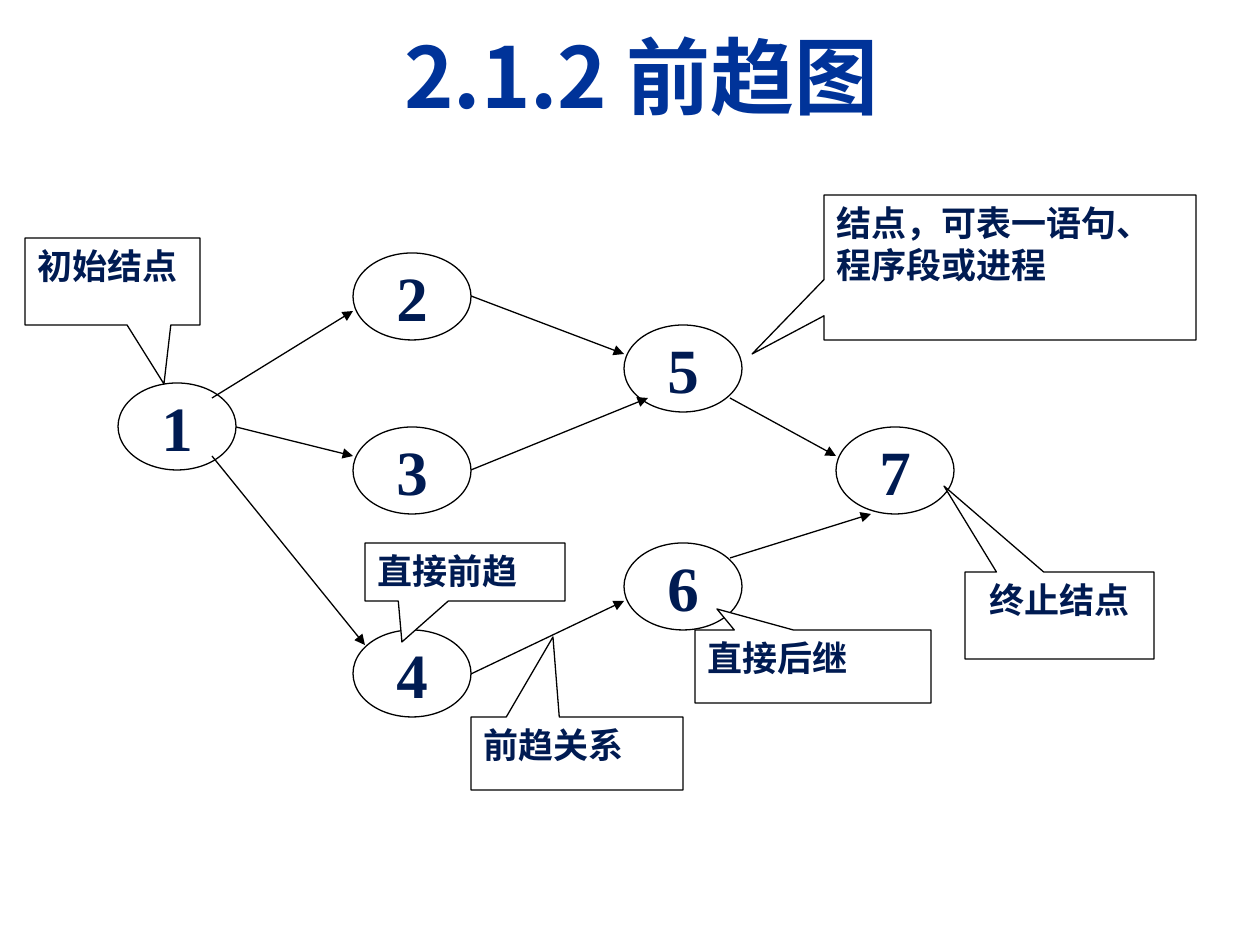
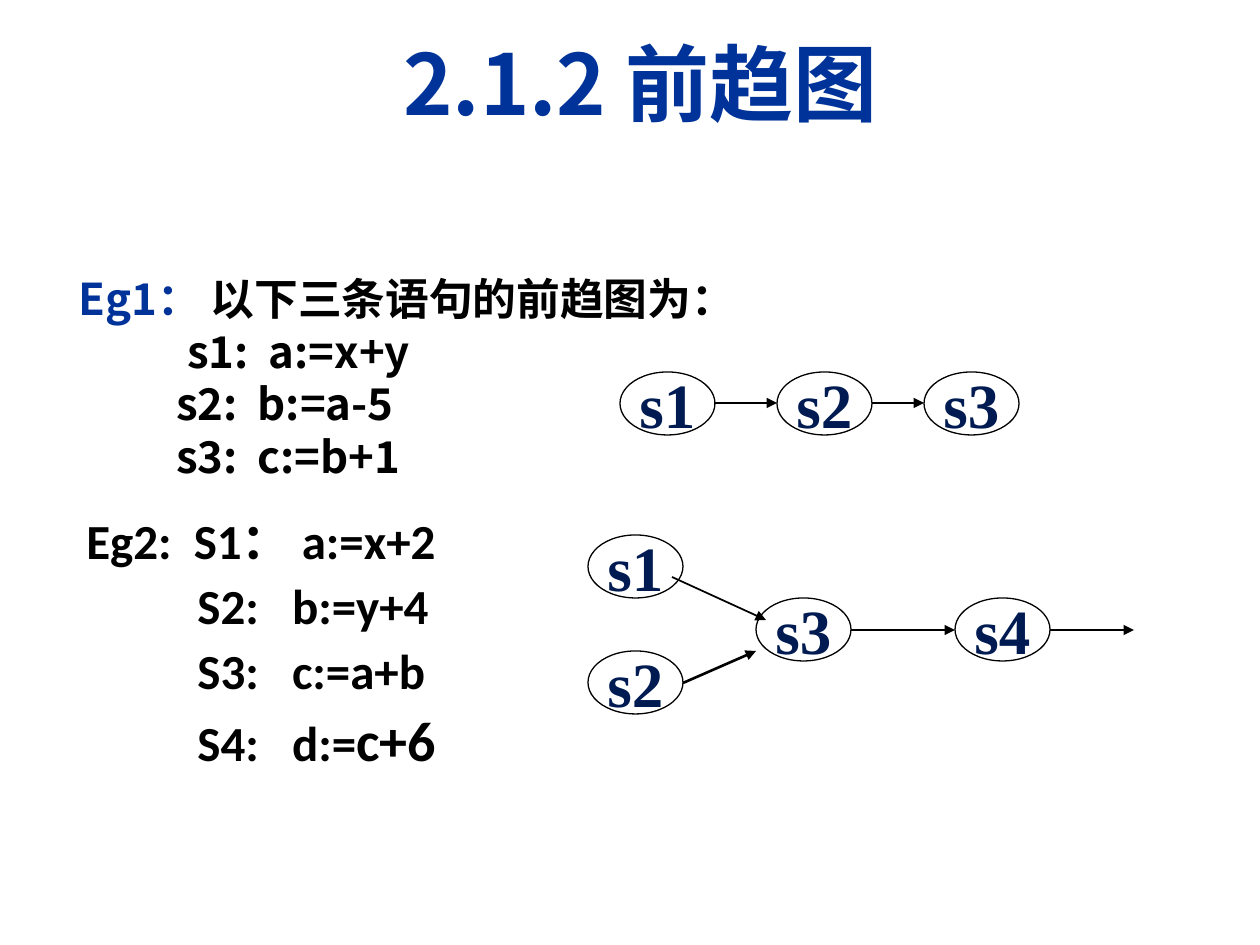
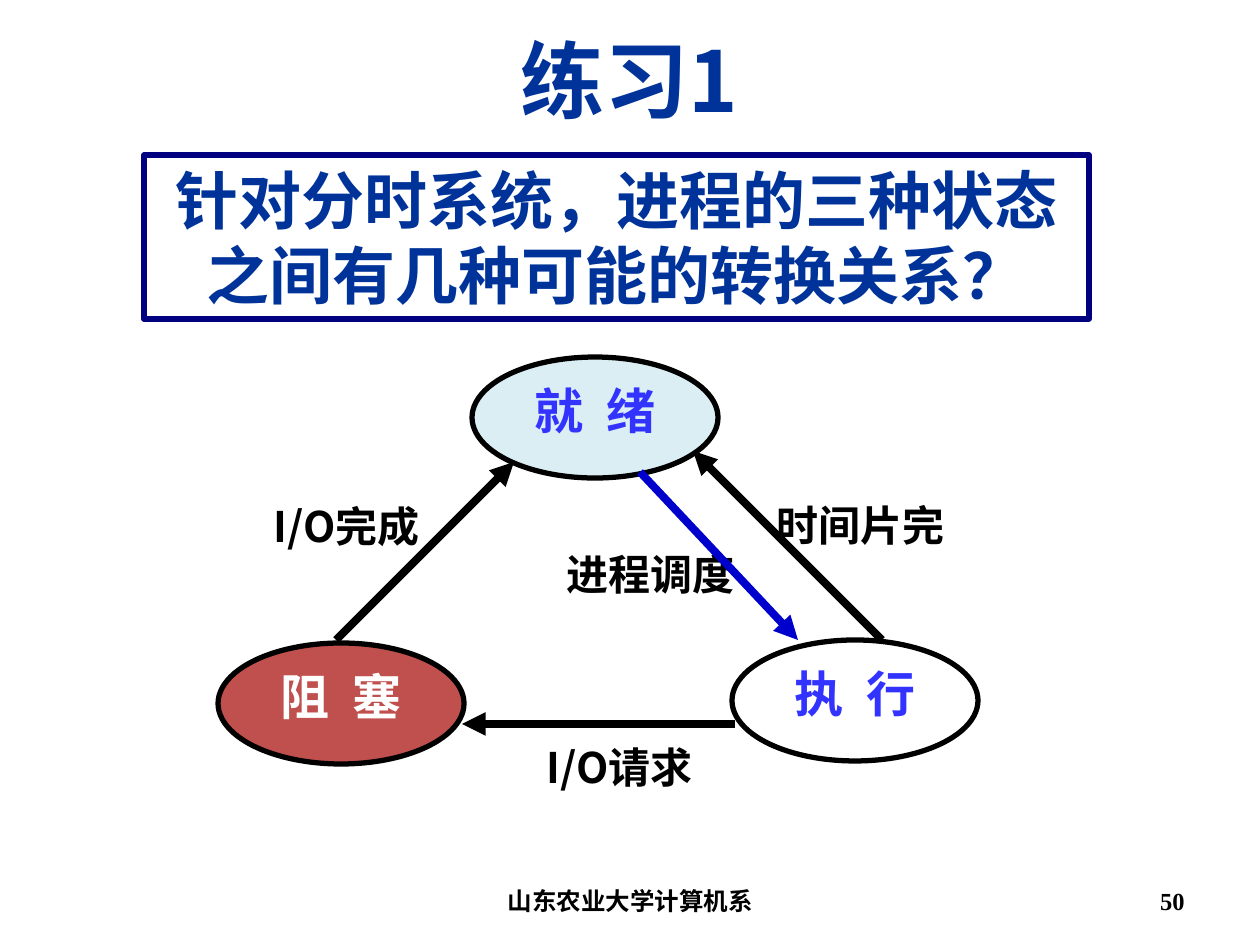
from lxml import etree
from pptx import Presentation
from pptx.dml.color import RGBColor
from pptx.enum.shapes import MSO_CONNECTOR, MSO_SHAPE
from pptx.enum.text import MSO_ANCHOR, PP_ALIGN
from pptx.oxml.ns import qn
from pptx.util import Emu, Pt

PX_PER_INCH = 126
CJK, SERIF, SANS = "Noto Sans CJK SC", "Times New Roman", "Calibri"
BLACK = RGBColor(0, 0, 0)
WHITE = RGBColor(255, 255, 255)
NAVY = RGBColor(0x00, 0x1B, 0x52)
TITLE_BLUE = RGBColor(0x00, 0x33, 0x99)
FRAME_BLUE = RGBColor(0x00, 0x00, 0x80)
STATE_BLUE = RGBColor(0x33, 0x33, 0xFF)
DISPATCH_BLUE = RGBColor(0x00, 0x00, 0xCC)
BRICK = RGBColor(0xC0, 0x50, 0x4D)
PALE_BLUE = RGBColor(0xDB, 0xEE, 0xF4)
LEFT, CENTER, RIGHT = PP_ALIGN.LEFT, PP_ALIGN.CENTER, PP_ALIGN.RIGHT
TOP, MIDDLE = MSO_ANCHOR.TOP, MSO_ANCHOR.MIDDLE
ELLIPSE, RECTANGLE = MSO_SHAPE.OVAL, MSO_SHAPE.RECTANGLE
CALLOUT = MSO_SHAPE.RECTANGULAR_CALLOUT
STRAIGHT = MSO_CONNECTOR.STRAIGHT


def px(length):
    """Turn px into EMU."""
    return Emu(round(length * 914400 / PX_PER_INCH))


def write(frame, lines, size=24, font=CJK, color=BLACK, align=LEFT, anchor=TOP,
          wrap=True, indents=(), spacing=None, before=0):
    """Fill a text frame; a line is a string or a list of (text, size, color) runs."""
    frame.word_wrap = wrap
    frame.vertical_anchor = anchor
    for index, line in enumerate([lines] if isinstance(lines, str) else lines):
        paragraph = frame.paragraphs[0] if index == 0 else frame.add_paragraph()
        paragraph.alignment = align
        if indents:
            paragraph._p.get_or_add_pPr().set("marL", str(px(indents[index])))
        if spacing:
            paragraph.line_spacing = spacing
        if index and before:
            paragraph.space_before = Pt(before)
        for text, run_size, run_color in [(line, size, color)] if isinstance(line, str) else line:
            run = paragraph.add_run()
            run.text = text
            run.font.name = font
            run.font.size = Pt(run_size)
            run.font.bold = True
            run.font.color.rgb = run_color
            latin = run._r.rPr.find(qn("a:latin"))
            east_asian = etree.Element(qn("a:ea"), typeface=CJK)
            latin.addnext(east_asian)


def add_label(slide, box, lines, **text_format):
    """Add a text box."""
    label = slide.shapes.add_textbox(*map(px, box))
    write(label.text_frame, lines, **text_format)


def add_title(slide, left, top, text):
    """Add the large centred slide title."""
    add_label(slide, (left, top, 1071, 158), text, size=48, color=TITLE_BLUE,
              align=CENTER, anchor=MIDDLE)


def add_figure(slide, kind, box, lines, fill=WHITE, line=BLACK, weight=0.75, **text_format):
    """Add a filled, outlined shape with text."""
    figure = slide.shapes.add_shape(kind, *map(px, box))
    figure.shadow.inherit = False
    figure.fill.solid()
    figure.fill.fore_color.rgb = fill
    figure.line.color.rgb = line
    figure.line.width = Pt(weight)
    write(figure.text_frame, lines, **text_format)
    return figure


def add_node(slide, left, top, text, width, height):
    """Add a graph node."""
    add_figure(slide, ELLIPSE, (left, top, width, height), text, size=36, font=SERIF,
               color=NAVY, align=CENTER, anchor=MIDDLE, wrap=False)


def add_callout(slide, box, tip, text, align=LEFT):
    """Add a callout whose pointer ends at tip."""
    left, top, width, height = box
    callout = add_figure(slide, CALLOUT, box, text, size=20, font=SERIF, color=NAVY, align=align)
    callout.adjustments[0] = (tip[0] - left - width / 2) / width
    callout.adjustments[1] = (tip[1] - top - height / 2) / height


def add_arrow(slide, ends, weight=0.75, color=BLACK):
    """Add a straight arrow running from the first point to the second."""
    arrow = slide.shapes.add_connector(STRAIGHT, *map(px, ends))
    arrow.line.color.rgb = color
    arrow.line.width = Pt(weight)
    etree.SubElement(arrow.line._get_or_add_ln(), qn("a:tailEnd"), type="triangle")
    etree.SubElement(arrow._element.spPr, qn("a:effectLst"))


def build_precedence_graph(slide):
    """Draw the seven-node graph with its explanations."""
    nodes = [(353, 427, "3"), (118, 383, "1"), (353, 253, "2"), (353, 630, "4"),
             (624, 325, "5"), (624, 543, "6"), (836, 427, "7")]
    for left, top, number in nodes:
        add_node(slide, left, top, number, 118, 87)
    for ends in [(212, 398, 353, 311), (236, 427, 353, 456), (212, 456, 365, 645),
                 (471, 296, 624, 354), (471, 470, 648, 398), (471, 674, 624, 601),
                 (730, 398, 836, 456), (730, 558, 871, 514)]:
        add_arrow(slide, ends)
    explanations = [
        ((824, 195, 372, 145), (752, 354), "结点，可表一语句、程序段或进程", LEFT),
        ((471, 717, 212, 73), (553, 637), "前趋关系", LEFT),
        ((25, 238, 175, 87), (164, 384), "初始结点", LEFT),
        ((965, 572, 189, 87), (944, 486), "终止结点", CENTER),
        ((365, 543, 200, 58), (402, 642), "直接前趋", LEFT),
        ((695, 630, 236, 73), (717, 609), "直接后继", LEFT),
    ]
    for explanation in explanations:
        add_callout(slide, *explanation)
    add_title(slide, 106, -4, "2.1.2 前趋图")


def build_examples(slide):
    """Set two statement lists beside their graphs."""
    add_label(slide, (66, 266, 1074, 225),
              [[("Eg1： ", 25, TITLE_BLUE), ("以下三条语句的前趋图为：", 25, BLACK)],
               "s1:  a:=x+y", "s2:  b:=a-5", "s3:  c:=b+1"],
              size=25, indents=(0, 109, 98, 98), spacing=Pt(30))
    add_label(slide, (74, 511, 1071, 336),
              ["Eg2:  S1： a:=x+2", "S2:   b:=y+4", "S3:   c:=a+b",
               [("S4:   d:=", 28, BLACK), ("c+6", 32, BLACK)]],
              size=28, font=SANS, indents=(0, 111, 111, 111), spacing=0.9, before=7)
    for left, top, statement in [(620, 372, "s1"), (777, 372, "s2"), (924, 372, "s3"),
                                 (588, 535, "s1"), (588, 651, "s2"),
                                 (756, 598, "s3"), (955, 598, "s4")]:
        add_node(slide, left, top, statement, 95, 63)
    for ends, weight in [((714, 403, 777, 403), 1), ((872, 403, 924, 403), 1),
                         ((672, 577, 766, 620), 1), ((683, 683, 756, 651), 1.5),
                         ((851, 630, 955, 630), 1.5), ((1050, 630, 1134, 630), 1.5)]:
        add_arrow(slide, ends, weight)
    add_title(slide, 105, 3, "2.1.2 前趋图")


def build_exercise(slide):
    """Draw the process state exercise and its footer."""
    for box, text, align in [((431, 876, 399, 50), "山东农业大学计算机系", CENTER),
                             ((903, 876, 294, 50), "50", RIGHT)]:
        add_label(slide, box, text, size=14, font=SERIF, align=align, anchor=MIDDLE)
    for left, top, state, fill, color in [(732, 640, "执  行", WHITE, STATE_BLUE),
                                          (218, 643, "阻  塞", BRICK, WHITE),
                                          (472, 357, "就  绪", PALE_BLUE, STATE_BLUE)]:
        add_figure(slide, ELLIPSE, (left, top, 246, 121), state, fill=fill, weight=3,
                   size=28, color=color, align=CENTER)
    add_arrow(slide, (735, 724, 462, 724), 4.5)
    add_arrow(slide, (336, 640, 514, 462), 4.5)
    add_label(slide, (764, 493, 210, 63), "时间片完", font=SERIF)
    add_arrow(slide, (882, 640, 693, 451), 4.5)
    add_label(slide, (525, 735, 189, 63), "I/O请求", align=CENTER)
    add_label(slide, (554, 542, 210, 63), "进程调度", font=SERIF)
    add_label(slide, (252, 494, 189, 63), "I/O完成", align=CENTER)
    add_arrow(slide, (640, 472, 798, 640), 4.5, DISPATCH_BLUE)
    add_figure(slide, RECTANGLE, (144, 155, 945, 164),
               "针对分时系统，进程的三种状态之间有几种可能的转换关系？",
               line=FRAME_BLUE, weight=3, size=36, font=SERIF, color=TITLE_BLUE, align=CENTER)
    add_title(slide, 94, 0, "练习1")


def main():
    """Build and save the slides."""
    deck = Presentation()
    deck.slide_width, deck.slide_height = px(1260), px(945)
    for build in (build_precedence_graph, build_examples, build_exercise):
        build(deck.slides.add_slide(deck.slide_layouts[6]))
    deck.save("out.pptx")


if __name__ == "__main__":
    main()
